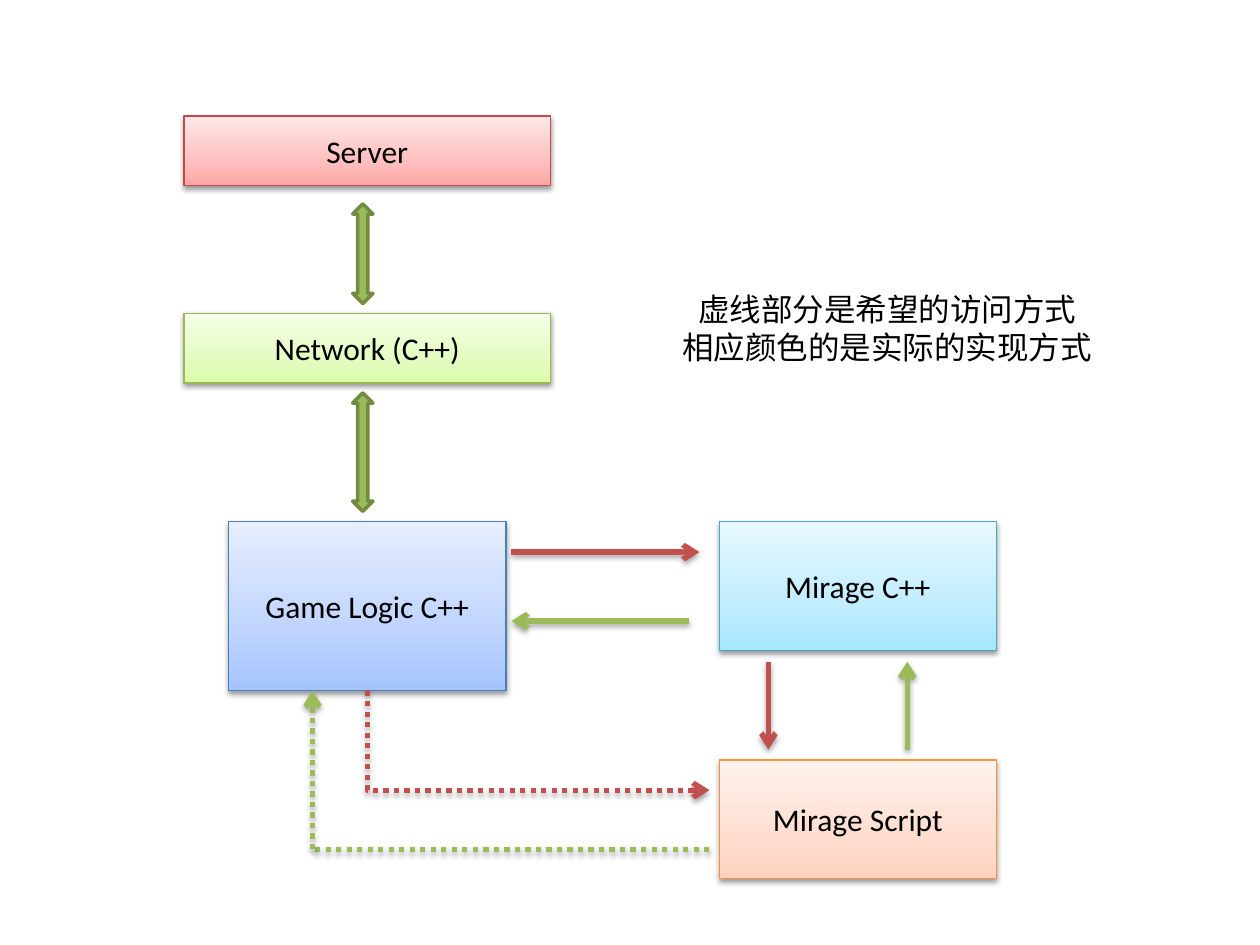
from copy import deepcopy
from dataclasses import dataclass

from lxml import etree
from pptx import Presentation
from pptx.dml.color import RGBColor
from pptx.enum.dml import MSO_LINE
from pptx.enum.shapes import MSO_CONNECTOR, MSO_SHAPE
from pptx.enum.text import MSO_ANCHOR, MSO_AUTO_SIZE, PP_ALIGN
from pptx.oxml.ns import qn
from pptx.util import Cm, Pt

RECTANGLE, UP_DOWN = MSO_SHAPE.RECTANGLE, MSO_SHAPE.UP_DOWN_ARROW
STRAIGHT, ELBOW = MSO_CONNECTOR.STRAIGHT, MSO_CONNECTOR.ELBOW
DOTTED = MSO_LINE.ROUND_DOT
CENTER, MIDDLE, TOP = PP_ALIGN.CENTER, MSO_ANCHOR.MIDDLE, MSO_ANCHOR.TOP
FIT_SHAPE = MSO_AUTO_SIZE.SHAPE_TO_FIT_TEXT
BOTTOM_SITE = 2


@dataclass(frozen=True)
class Theme:
    latin: str = "Calibri"
    chinese: str = "Noto Sans CJK SC"
    size: int = 18
    text: str = "000000"
    request: str = "C0504D"
    reply: str = "9BBB59"
    reply_edge: str = "738A42"
    # Each node: bottom, lower-middle and top gradient colours, then the outline
    server: tuple = ("FFA6A5", "FFC0BF", "FFE7E7", "BF4C48")
    network: tuple = ("DAFDA7", "E4FCC2", "F5FFE7", "98B955")
    logic: tuple = ("A4C4FF", "BFD4FF", "E6EEFF", "4B7EBC")
    engine: tuple = ("A7E6FF", "C1EDFF", "E7F8FF", "46AAC5")
    script: tuple = ("FFD2BD", "FFDED0", "FFF2ED", "F69240")


THEME = Theme()


def rgb(value):
    return RGBColor.from_string(value)


def write_text(shape, text, font=THEME.latin, size=THEME.size, color=THEME.text,
               align=CENTER, anchor=MIDDLE):
    frame = shape.text_frame
    frame.word_wrap = True
    frame.vertical_anchor = anchor
    frame.text = text
    for paragraph in frame.paragraphs:
        paragraph.alignment = align
        for run in paragraph.runs:
            run.font.name = font
            run.font.size = Pt(size)
            run.font.color.rgb = rgb(color)
            run.font._element.find(qn("a:latin")).addnext(
                etree.Element(qn("a:ea"), typeface=font))


def drop_shadow(shape, opacity, distance):
    properties = shape._element.spPr
    effects = properties.find(qn("a:effectLst"))
    if effects is None:
        effects = etree.SubElement(properties, qn("a:effectLst"))
    shadow = etree.SubElement(effects, qn("a:outerShdw"), blurRad=str(Pt(3.15)),
                              dist=str(Pt(distance)), dir="5400000", rotWithShape="0")
    color = etree.SubElement(shadow, qn("a:srgbClr"), val="000000")
    etree.SubElement(color, qn("a:alpha"), val=str(opacity * 1000))


def fill_gradient(shape, colors):
    """Blend three colours upwards, with the middle one at 35 %."""
    shape.fill.gradient()
    shape.fill.gradient_angle = 90
    stop_list = shape._element.spPr.find(".//" + qn("a:gsLst"))
    stop_list.insert(1, deepcopy(stop_list[0]))
    for stop, position, color in zip(shape.fill.gradient_stops, (0, 0.35, 1), colors):
        stop.position = position
        stop.color.rgb = rgb(color)


def add_preset(slide, preset, box, edge, width):
    shape = slide.shapes.add_shape(preset, *map(Cm, box))
    shape.shadow.inherit = False
    shape.line.color.rgb = rgb(edge)
    shape.line.width = Pt(width)
    return shape


def add_node(slide, text, box, palette):
    *blend, edge = palette
    node = add_preset(slide, RECTANGLE, box, edge, 0.75)
    fill_gradient(node, blend)
    drop_shadow(node, 38, 1.57)
    write_text(node, text)
    return node


def add_exchange(slide, box):
    arrow = add_preset(slide, UP_DOWN, box, THEME.reply_edge, 2)
    arrow.fill.solid()
    arrow.fill.fore_color.rgb = rgb(THEME.reply)


def add_link(slide, start, end, color, kind=STRAIGHT, dash=None, arrow=True):
    link = slide.shapes.add_connector(kind, *map(Cm, start + end))
    link.line.color.rgb = rgb(color)
    link.line.width = Pt(3)
    if dash:
        link.line.dash_style = dash
    if arrow:
        etree.SubElement(link._element.spPr.find(qn("a:ln")), qn("a:tailEnd"), type="arrow")
    drop_shadow(link, 35, 1.81)
    return link


def add_down_right_link(slide, source, end, color):
    """Leave the bottom of source, turn once and run right to end."""
    start = ((source.left + source.width / 2) / Cm(1),
             (source.top + source.height) / Cm(1))
    link = add_link(slide, start, end, color, kind=ELBOW, dash=DOTTED)
    link.begin_connect(source, BOTTOM_SITE)
    across, down = end[0] - start[0], end[1] - start[1]
    # The one-bend preset runs sideways first, so it is mirrored and turned upright
    link.left = Cm((start[0] + end[0] - down) / 2)
    link.top = Cm((start[1] + end[1] - across) / 2)
    link.width, link.height = Cm(down), Cm(across)
    properties = link._element.spPr
    properties.find(qn("a:prstGeom")).set("prst", "bentConnector2")
    frame = properties.find(qn("a:xfrm"))
    frame.set("rot", "16200000")
    frame.set("flipH", "1")


def build_game_stack(slide, box):
    left, top, width, height = box
    add_node(slide, "Network (C++)", (left, top + 3.98, width, 1.4), THEME.network)
    add_node(slide, "Server", (left, top, width, 1.4), THEME.server)
    logic_width, logic_height = 5.59, 3.4
    logic = add_node(slide, "Game Logic C++",
                     (left + (width - logic_width) / 2, top + height - logic_height,
                      logic_width, logic_height), THEME.logic)
    for offset, length in ((1.77, 2.01), (5.58, 2.39)):
        add_exchange(slide, (left + 3.4, top + offset, 0.41, length))
    return logic


def build_engine_stack(slide, box):
    left, top, width, height = box
    add_node(slide, "Mirage C++", (left, top, width, 2.59), THEME.engine)
    add_node(slide, "Mirage Script", (left, top + height - 2.39, width, 2.39), THEME.script)
    upper, lower = top + 2.82, top + 4.59
    request_x, reply_x = left + 0.99, left + 3.79
    add_link(slide, (request_x, upper), (request_x, lower), THEME.request)
    add_link(slide, (reply_x, lower), (reply_x, upper), THEME.reply)


def build_calls(slide, box, logic):
    """Draw the calls between both stacks; box spans the gap and the area below."""
    left, top, width, height = box
    right, bottom = left + width, top + height
    add_link(slide, (left, top), (right - 0.2, top), THEME.request)
    add_link(slide, (right - 0.41, top + 1.39), (left, top + 1.39), THEME.reply)
    add_down_right_link(slide, logic, (right, top + 4.8), THEME.request)
    corner = (left - 4.01, bottom)
    add_link(slide, (right, bottom), corner, THEME.reply, dash=DOTTED, arrow=False)
    add_link(slide, corner, (corner[0], top + 2.79), THEME.reply, dash=DOTTED)


def build_legend(slide, box):
    legend = slide.shapes.add_textbox(*map(Cm, box))
    write_text(legend, "虚线部分是希望的访问方式\n相应颜色的是实际的实现方式",
               font=THEME.chinese, anchor=TOP)
    legend.text_frame.auto_size = FIT_SHAPE


def main():
    deck = Presentation()
    deck.slide_width, deck.slide_height = Cm(25.4), Cm(19.05)
    slide = deck.slides.add_slide(deck.slide_layouts[6])
    logic = build_game_stack(slide, (3.71, 2.34, 7.39, 11.58))
    build_engine_stack(slide, (14.5, 10.52, 5.59, 7.19))
    build_calls(slide, (10.31, 11.13, 3.99, 5.99), logic)
    build_legend(slide, (13.49, 5.72, 8.79, 1.8))
    deck.save("out.pptx")


if __name__ == "__main__":
    main()
